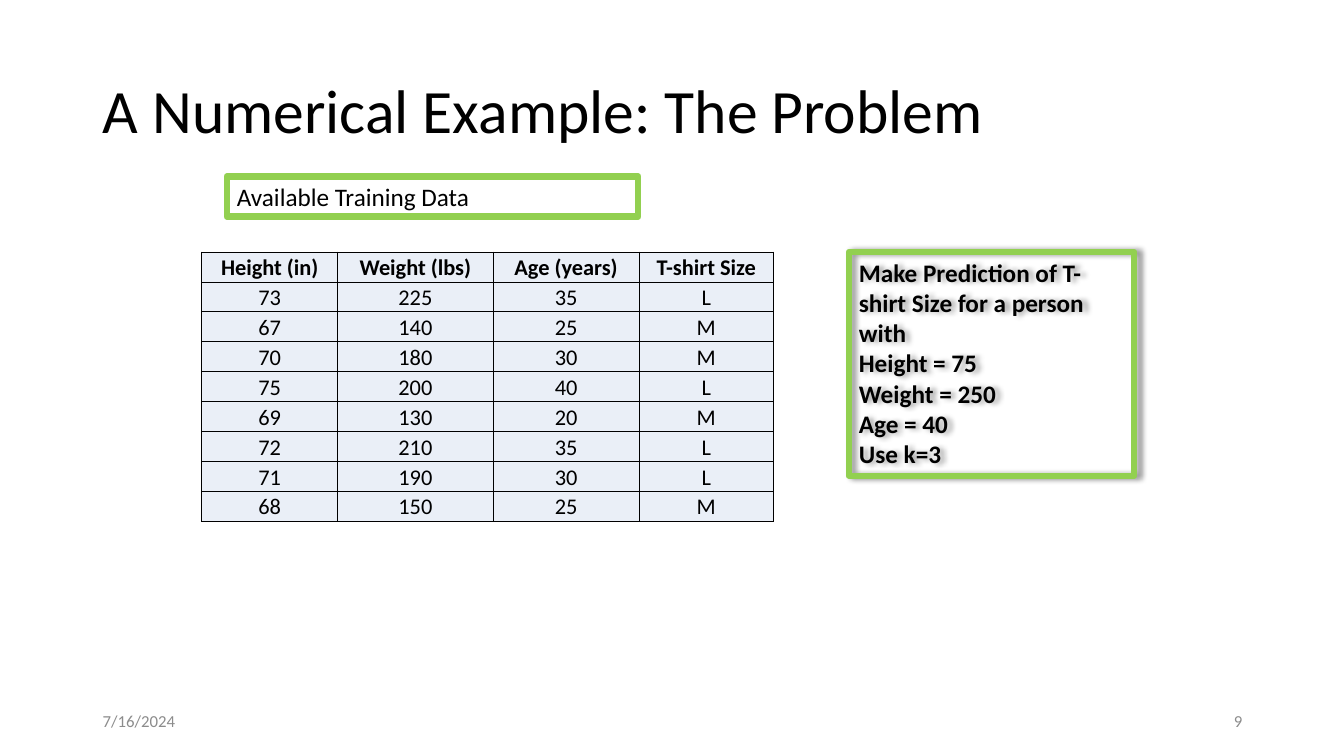
from pptx import Presentation
from pptx.dml.color import RGBColor
from pptx.enum.shapes import MSO_SHAPE as Shape
from pptx.enum.text import MSO_ANCHOR as Anchor, MSO_AUTO_SIZE as AutoSize, PP_ALIGN as Align
from pptx.oxml import parse_xml
from pptx.oxml.ns import nsdecls
from pptx.util import Inches, Pt

FONT = "Calibri"
BLACK, GREY, GREEN, PALE_BLUE = "000000", "8C8C8C", "92D050", "EAEFF7"
COLUMN_WIDTHS = [1.35, 1.54, 1.45, 1.33]
TRAINING_DATA = [
    ("Height (in)", "Weight (lbs)", "Age (years)", "T-shirt Size"),
    (73, 225, 35, "L"),
    (67, 140, 25, "M"),
    (70, 180, 30, "M"),
    (75, 200, 40, "L"),
    (69, 130, 20, "M"),
    (72, 210, 35, "L"),
    (71, 190, 30, "L"),
    (68, 150, 25, "M"),
]
PREDICTION = [
    "Make Prediction of T-shirt Size for a person with",
    "Height = 75",
    "Weight = 250",
    "Age = 40",
    "Use k=3",
]


def color(hex_value):
    """Return the colour for a hex string."""
    return RGBColor.from_string(hex_value)


def write(frame, lines, size, ink=BLACK, bold=False, align=Align.LEFT, anchor=Anchor.TOP):
    """Write each line as a paragraph holding one formatted run."""
    frame.word_wrap = True
    frame.vertical_anchor = anchor
    for index, line in enumerate(lines):
        paragraph = frame.add_paragraph() if index else frame.paragraphs[0]
        paragraph.alignment = align
        run = paragraph.add_run()
        run.text = line
        run.font.name, run.font.size, run.font.bold = FONT, Pt(size), bold
        run.font.color.rgb = color(ink)


def add_title(slide, left, top, width, height, heading):
    """Place and fill the title placeholder."""
    title = slide.shapes.title
    title.left, title.top = Inches(left), Inches(top)
    title.width, title.height = Inches(width), Inches(height)
    write(title.text_frame, [heading], 44, anchor=Anchor.MIDDLE)
    title.text_frame.paragraphs[0].line_spacing = 0.9


def add_cell_borders(cell):
    """Draw a thin black line on all four sides of a cell."""
    properties = cell._tc.get_or_add_tcPr()
    for side in ("lnL", "lnR", "lnT", "lnB"):
        properties.append(parse_xml(
            f'<a:{side} {nsdecls("a")} w="{Pt(0.5)}"><a:solidFill>'
            f'<a:srgbClr val="{BLACK}"/></a:solidFill></a:{side}>'))


def add_training_table(slide, left, top, height):
    """Build the table of people with their shirt sizes."""
    table = slide.shapes.add_table(
        len(TRAINING_DATA), len(COLUMN_WIDTHS), Inches(left), Inches(top),
        Inches(sum(COLUMN_WIDTHS)), Inches(height)).table
    table.horz_banding = False
    for column, width in zip(table.columns, COLUMN_WIDTHS):
        column.width = Inches(width)
    for row_index, person in enumerate(TRAINING_DATA):
        for column_index, value in enumerate(person):
            cell = table.cell(row_index, column_index)
            cell.margin_left = cell.margin_right = cell.margin_top = Inches(0.01)
            cell.margin_bottom = 0
            cell.vertical_anchor = Anchor.BOTTOM
            add_cell_borders(cell)
            cell.fill.solid()
            cell.fill.fore_color.rgb = color(PALE_BLUE)
            write(cell.text_frame, [str(value)], 16, bold=row_index == 0,
                  align=Align.CENTER, anchor=None)
            cell.vertical_anchor = Anchor.BOTTOM


def add_callout(slide, left, top, width, height, lines, bold=False):
    """Add a green-framed box of text and return it."""
    callout = slide.shapes.add_shape(
        Shape.RECTANGLE, Inches(left), Inches(top), Inches(width), Inches(height))
    callout.shadow.inherit = False
    callout.fill.background()
    callout.line.color.rgb = color(GREEN)
    callout.line.width = Pt(4.5)
    write(callout.text_frame, lines, 18, bold=bold)
    callout.text_frame.auto_size = AutoSize.SHAPE_TO_FIT_TEXT
    return callout


def add_prediction(slide, left, top, width, height):
    """Add the prediction task with a soft shadow to its right."""
    prediction = add_callout(slide, left, top, width, height, PREDICTION, bold=True)
    effects = prediction._element.spPr.find("{*}effectLst")
    effects.append(parse_xml(
        f'<a:outerShdw {nsdecls("a")} blurRad="{Pt(4)}" dist="{Pt(3)}" dir="0" '
        f'algn="l" rotWithShape="0"><a:srgbClr val="{BLACK}">'
        '<a:alpha val="40000"/></a:srgbClr></a:outerShdw>'))


def add_footer(slide, left, top, width, height, text, align):
    """Add a small grey footer entry."""
    footer = slide.shapes.add_textbox(
        Inches(left), Inches(top), Inches(width), Inches(height))
    write(footer.text_frame, [text], 12, GREY, align=align, anchor=Anchor.MIDDLE)


def main():
    """Build the slide and save it."""
    deck = Presentation()
    deck.slide_width, deck.slide_height = Inches(13.33), Inches(7.5)
    slide = deck.slides.add_slide(deck.slide_layouts[5])
    add_title(slide, 0.92, 0.4, 11.5, 1.45, "A Numerical Example: The Problem")
    add_training_table(slide, 2, 2.5, 2.67)
    add_callout(slide, 2.25, 1.75, 4.08, 0.4, ["Available Training Data"])
    add_prediction(slide, 8.42, 2.5, 2.83, 2.22)
    add_footer(slide, 0.92, 6.95, 3, 0.4, "7/16/2024", Align.LEFT)
    add_footer(slide, 9.42, 6.95, 3, 0.4, "9", Align.RIGHT)
    deck.save("out.pptx")


if __name__ == "__main__":
    main()
